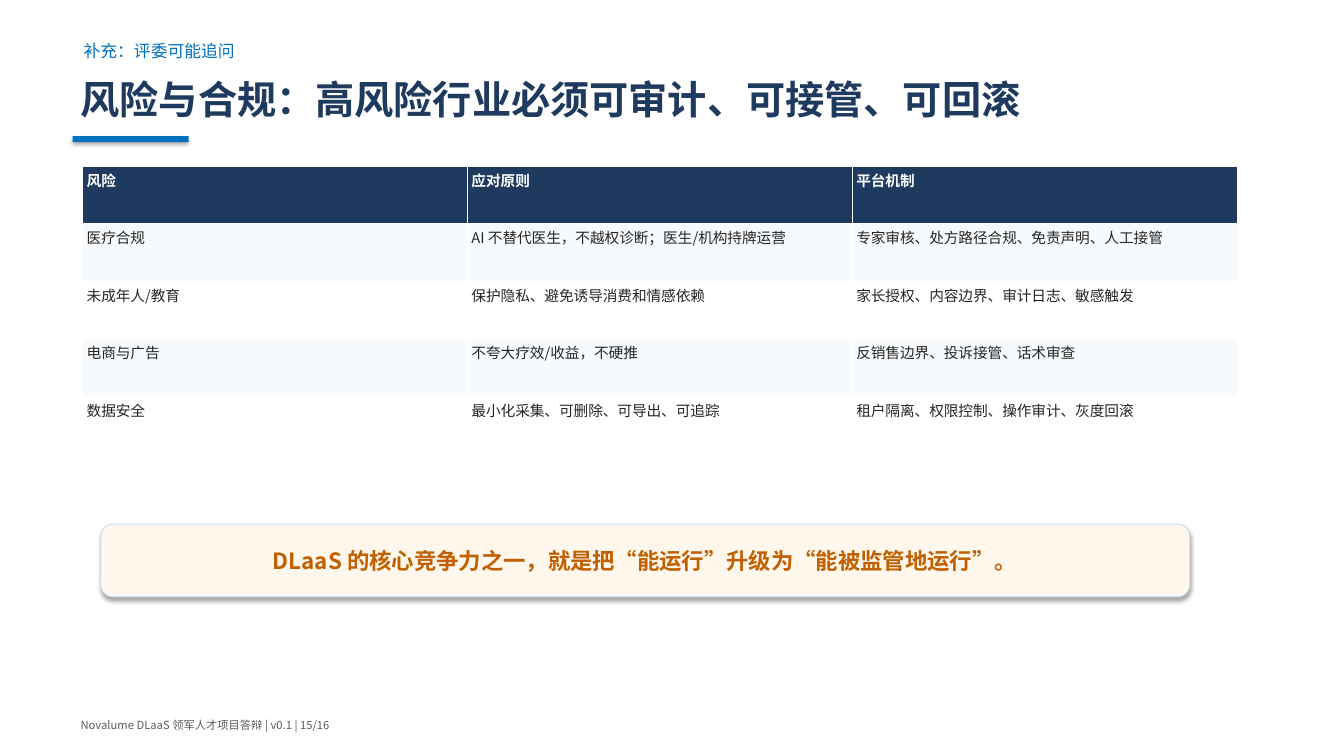
from lxml import etree
from pptx import Presentation, util as u
from pptx.dml.color import RGBColor
from pptx.enum import shapes, text
from pptx.oxml.ns import qn

FONT = "Noto Sans CJK SC"
COLORS = {
    "navy": "1F3A5F", "blue": "0070C0", "white": "FFFFFF", "ink": "262626",
    "band": "F7FAFD", "cream": "FFF7EB", "edge": "CDE1F5",
    "orange": "C06000", "grey": "5A5A5A",
}
FORMATS = {
    "kicker": {"size": u.Pt(12), "bold": False, "color": "blue"},
    "title": {"size": u.Pt(28), "bold": True, "color": "navy"},
    "head": {"size": u.Pt(10.5), "bold": True, "color": "white"},
    "body": {"size": u.Pt(10.5), "bold": False, "color": "ink"},
    "callout": {"size": u.Pt(16), "bold": True, "color": "orange"},
    "footer": {"size": u.Pt(8), "bold": False, "color": "grey"},
}
INSETS = {"margin_left": 0.08, "margin_right": 0.08, "margin_top": 0.04, "margin_bottom": 0.04}
CELL_INSETS = {"margin_left": 0.04, "margin_right": 0.04, "margin_top": 0.03, "margin_bottom": 0.03}
RISKS = [
    ("风险", "应对原则", "平台机制"),
    ("医疗合规", "AI 不替代医生，不越权诊断；医生/机构持牌运营", "专家审核、处方路径合规、免责声明、人工接管"),
    ("未成年人/教育", "保护隐私、避免诱导消费和情感依赖", "家长授权、内容边界、审计日志、敏感触发"),
    ("电商与广告", "不夸大疗效/收益，不硬推", "反销售边界、投诉接管、话术审查"),
    ("数据安全", "最小化采集、可删除、可导出、可追踪", "租户隔离、权限控制、操作审计、灰度回滚"),
]


def rgb(name):
    return RGBColor.from_string(COLORS[name])


def inches(box):
    return [u.Inches(v) for v in box]


def set_insets(target, insets):
    for name, value in insets.items():
        setattr(target, name, u.Inches(value))


def write(p, words, style):
    r = p.add_run()
    r.text = words
    r.font.name = FONT
    etree.SubElement(r.font._element, qn("a:ea")).set("typeface", FONT)
    for name, value in FORMATS[style].items():
        if name == "color":
            r.font.color.rgb = rgb(value)
        else:
            setattr(r.font, name, value)


def add_label(s, box, words, style):
    tf = s.shapes.add_textbox(*inches(box)).text_frame
    tf.word_wrap = True
    tf.auto_size = text.MSO_AUTO_SIZE.SHAPE_TO_FIT_TEXT
    set_insets(tf, INSETS)
    p = tf.paragraphs[0]
    p.line_spacing = 1.05
    write(p, words, style)


def add_header(s, box):
    x, y, w, h = box
    add_label(s, (x + 0.03, y, w - 0.2, 0.35), "补充：评委可能追问", "kicker")
    add_label(s, (x, y + 0.33, w, 0.62), "风险与合规：高风险行业必须可审计、可接管、可回滚", "title")
    sp = s.shapes.add_shape(shapes.MSO_SHAPE.RECTANGLE, *inches((x, y + h - 0.06, 1.15, 0.06)))
    sp.fill.solid()
    sp.fill.fore_color.rgb = rgb("blue")
    sp.line.fill.background()


def add_risk_table(s, box):
    table = s.shapes.add_table(len(RISKS), len(RISKS[0]), *inches(box)).table
    for i, row in enumerate(RISKS):
        fill = "navy" if i == 0 else "band" if i % 2 else "white"
        for j, words in enumerate(row):
            cell = table.cell(i, j)
            cell.fill.solid()
            cell.fill.fore_color.rgb = rgb(fill)
            set_insets(cell, CELL_INSETS)
            write(cell.text_frame.paragraphs[0], words, "body" if i else "head")


def add_callout(s, box):
    sp = s.shapes.add_shape(shapes.MSO_SHAPE.ROUNDED_RECTANGLE, *inches(box))
    sp.fill.solid()
    sp.fill.fore_color.rgb = rgb("cream")
    sp.line.color.rgb = rgb("edge")
    sp.line.width = u.Pt(0.75)
    tf = sp.text_frame
    tf.word_wrap = True
    tf.vertical_anchor = text.MSO_ANCHOR.MIDDLE
    set_insets(tf, INSETS)
    p = tf.paragraphs[0]
    p.alignment = text.PP_ALIGN.CENTER
    write(p, "DLaaS 的核心竞争力之一，就是把“能运行”升级为“能被监管地运行”。", "callout")


def add_footer(s, box):
    add_label(s, box, "Novalume DLaaS 领军人才项目答辩 | v0.1 | 15/16", "footer")


def main():
    prs = Presentation()
    prs.slide_width, prs.slide_height = inches((13.33, 7.5))
    s = prs.slides.add_slide(prs.slide_layouts[6])
    add_header(s, (0.72, 0.35, 12, 1.06))
    add_risk_table(s, (0.82, 1.65, 11.45, 2.85))
    add_callout(s, (1, 5.2, 10.8, 0.72))
    add_footer(s, (0.72, 7.08, 8.8, 0.25))
    prs.save("out.pptx")


if __name__ == "__main__":
    main()
